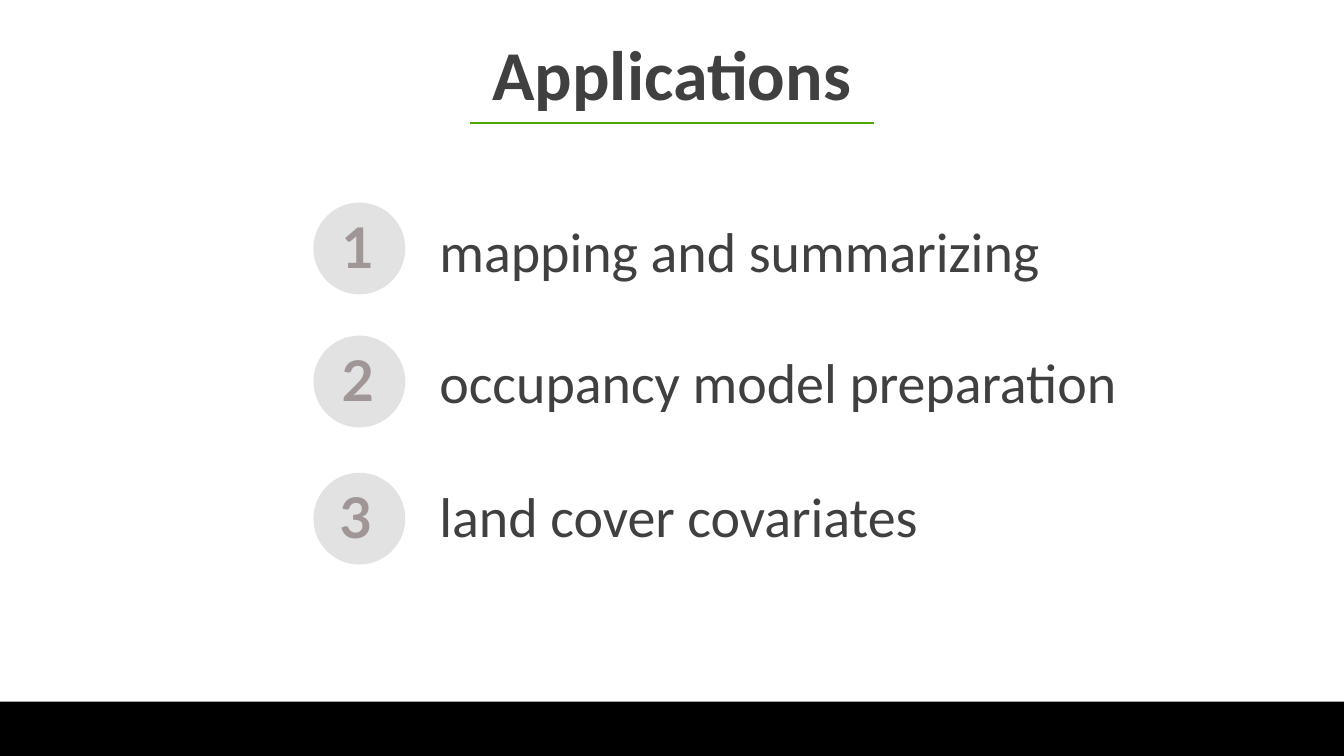
from dataclasses import dataclass

from lxml.etree import SubElement as Sub
from pptx import Presentation
from pptx.dml.color import RGBColor as Color
from pptx.enum.shapes import MSO_CONNECTOR as Link
from pptx.enum.shapes import MSO_SHAPE as Kind
from pptx.enum.text import MSO_ANCHOR as Anchor
from pptx.enum.text import PP_ALIGN as Align
from pptx.oxml.ns import qn
from pptx.shapes.autoshape import Shape
from pptx.slide import Slide
from pptx.util import Inches, Pt

BLACK = Color(0x00, 0x00, 0x00)
DARK = Color(0x40, 0x40, 0x40)
GREEN = Color(0x4C, 0xA8, 0x00)
PALE = Color(0xD9, 0xD9, 0xD9)
TAUPE = Color(0xA0, 0x96, 0x96)

WIDE, HIGH = Inches(13.33), Inches(7.5)
COLS, ROWS = 80, 45
DISC_COL, DISC_SIZE = 18.66, 5.46
LABEL_COL, LABEL_SPAN = 25.56, 46.6
TEXT_ROWS = 6.06


@dataclass(frozen=True)
class Area:
    col: float
    row: float
    cols: float
    rows: float

    def box(self) -> tuple[int, int, int, int]:
        return (across(self.col), down(self.row),
                across(self.cols), down(self.rows))


@dataclass(frozen=True)
class Style:
    face: str
    size: float
    color: Color
    bold: bool = False
    align: Align = Align.LEFT
    anchor: Anchor = Anchor.MIDDLE
    lead: float = 1.0


@dataclass(frozen=True)
class Item:
    label: str
    disc_row: float
    label_row: float
    digit_col: float = 19.74


TITLE = Style("Calibri", 50, DARK, bold=True, align=Align.CENTER)
LABEL = Style("Calibri", 40, DARK)
DIGIT = Style("Lato", 40, TAUPE, bold=True, anchor=Anchor.BOTTOM, lead=0.9)

ITEMS = (
    Item("mapping and summarizing", 12.06, 11.88),
    Item("occupancy model preparation", 19.98, 19.68),
    Item("land cover covariates", 28.14, 27.66, digit_col=19.62),
)


def across(cols: float) -> int:
    return round(WIDE * cols / COLS)


def down(rows: float) -> int:
    return round(HIGH * rows / ROWS)


def add_fill(slide: Slide, kind: Kind, area: Area, color: Color) -> Shape:
    shape = slide.shapes.add_shape(kind, *area.box())
    shape.shadow.inherit = False
    shape.fill.solid()
    shape.fill.fore_color.rgb = color
    shape.line.fill.background()
    return shape


def add_disc(slide: Slide, row: float) -> None:
    disc = add_fill(slide, Kind.OVAL,
                    Area(DISC_COL, row, DISC_SIZE, DISC_SIZE), PALE)
    tint = disc.fill._xPr.find(qn("a:solidFill"))[0]
    Sub(tint, qn("a:alpha"), val="76000")


def add_text(slide: Slide, words: str, area: Area, style: Style) -> None:
    frame = slide.shapes.add_textbox(*area.box()).text_frame
    frame.word_wrap = True
    frame.vertical_anchor = style.anchor
    para = frame.paragraphs[0]
    para.alignment = style.align
    para.line_spacing = style.lead
    run = para.add_run()
    run.text = words
    run.font.name = style.face
    run.font.size = Pt(style.size)
    run.font.bold = style.bold
    run.font.color.rgb = style.color


def add_rule(slide: Slide, start: float, end: float, row: float) -> None:
    rule = slide.shapes.add_connector(
        Link.STRAIGHT, across(start), down(row), across(end), down(row))
    rule.line.color.rgb = GREEN
    rule.line.width = Pt(2)
    Sub(rule._element.spPr, qn("a:effectLst"))


def add_item(slide: Slide, count: int, item: Item) -> None:
    add_disc(slide, item.disc_row)
    add_text(slide, str(count),
             Area(item.digit_col, item.disc_row + 0.84, 2.46, 4.08), DIGIT)
    add_text(slide, item.label,
             Area(LABEL_COL, item.label_row, LABEL_SPAN, TEXT_ROWS), LABEL)


def main() -> None:
    deck = Presentation()
    deck.slide_width, deck.slide_height = WIDE, HIGH
    slide = deck.slides.add_slide(deck.slide_layouts[6])
    add_fill(slide, Kind.RECTANGLE, Area(0, 41.76, COLS, 3.24), BLACK)
    for count, item in enumerate(ITEMS, 1):
        add_item(slide, count, item)
    add_text(slide, "Applications", Area(12, 1.26, 56, TEXT_ROWS), TITLE)
    add_rule(slide, 27.96, 52.02, 7.32)
    deck.save("out.pptx")


if __name__ == "__main__":
    main()
